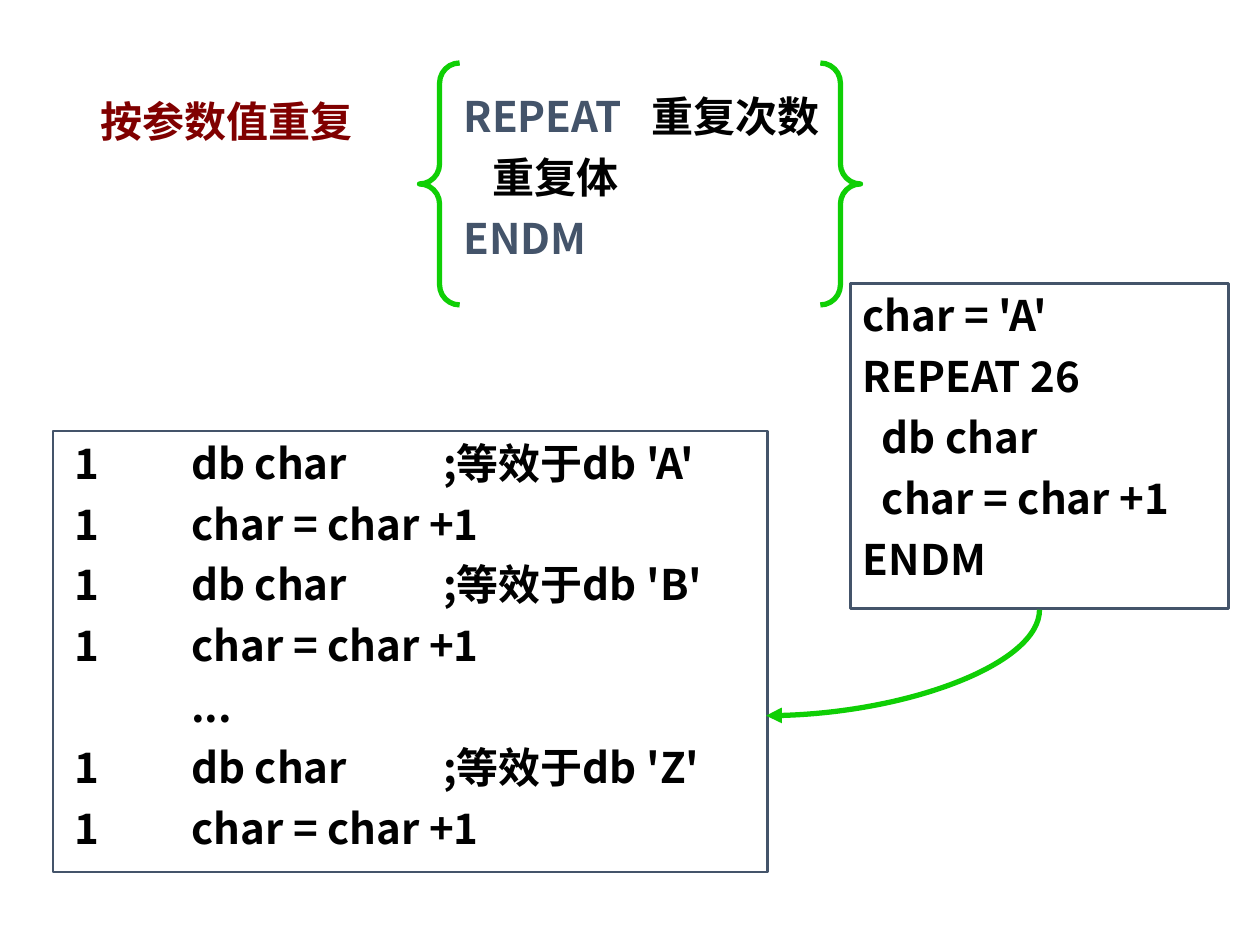
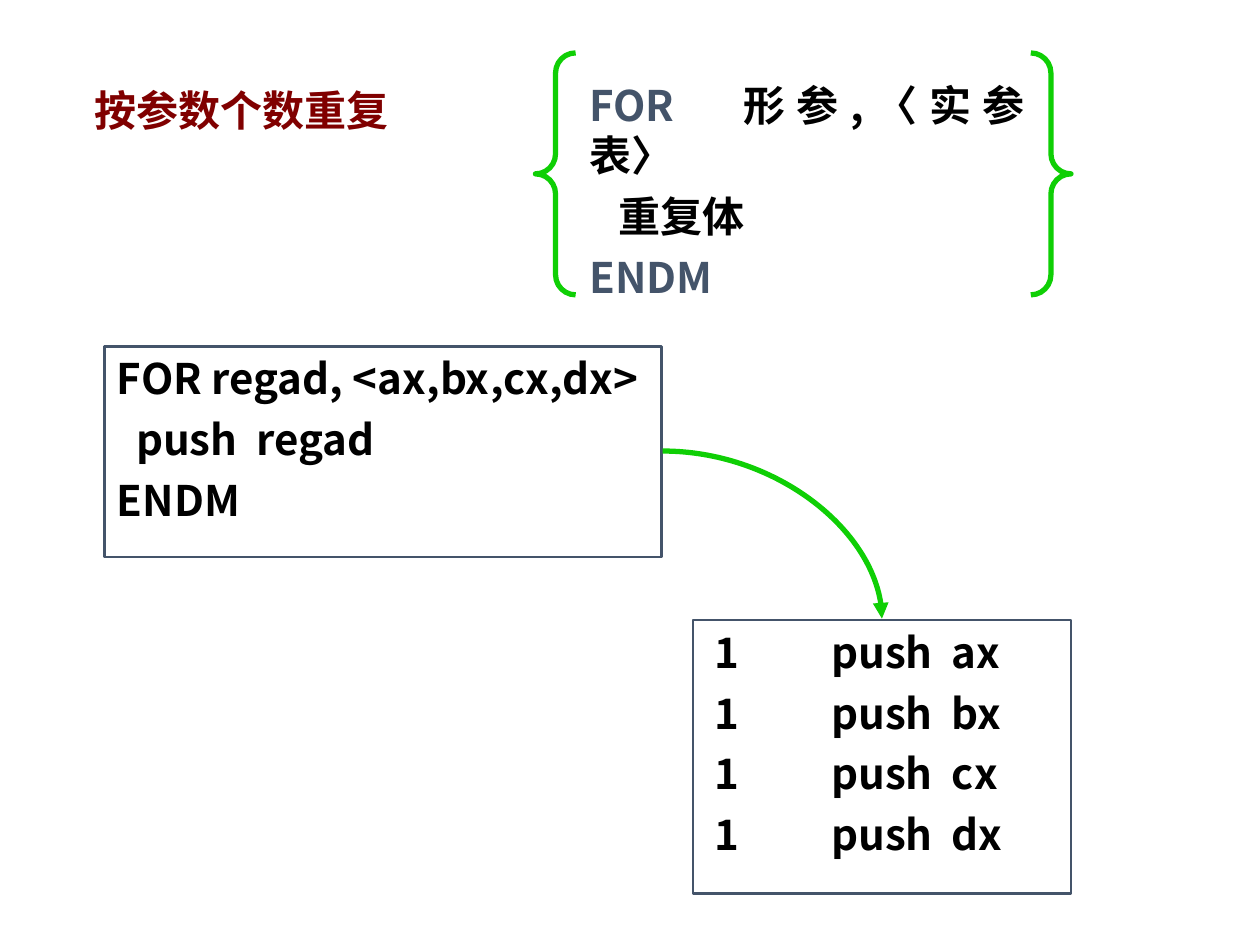
"""Builds two slides on the repeat blocks of assembly macros."""
from lxml.etree import SubElement
from pptx import Presentation
from pptx.dml.color import RGBColor
from pptx.enum.shapes import MSO_CONNECTOR, MSO_SHAPE
from pptx.enum.text import MSO_ANCHOR, PP_ALIGN
from pptx.oxml.ns import qn
from pptx.util import Inches, Pt

COLORS = {
    "heading": "800000",
    "keyword": "44546A",
    "text": "000000",
    "accent": "0FCF05",
    "paper": "FFFFFF",
}
FONT = "Noto Sans CJK SC"
LISTING_TABS = (1, 2, 3)


def color(name):
    return RGBColor.from_string(COLORS[name])


class MacroDeck:
    def __init__(self):
        self.presentation = Presentation()
        self.presentation.slide_width = Inches(10)
        self.presentation.slide_height = Inches(7.5)
        self.slide = None

    def new_slide(self):
        layout = self.presentation.slide_layouts[6]
        self.slide = self.presentation.slides.add_slide(layout)

    def style_paragraph(self, paragraph, ink="text", align=PP_ALIGN.JUSTIFY, tabs=(), indent=0):
        paragraph.alignment = align
        properties = paragraph._p.get_or_add_pPr()
        if indent:
            properties.set("marL", str(Inches(indent)))
            properties.set("indent", "0")
        if tabs:
            tab_list = SubElement(properties, qn("a:tabLst"))
            for position in tabs:
                SubElement(tab_list, qn("a:tab"), pos=str(Inches(position)), algn="l")
        font = paragraph.font
        font.size = Pt(24)
        font.bold = True
        font.color.rgb = color(ink)
        font.name = FONT
        SubElement(properties.find(qn("a:defRPr")), qn("a:ea"), typeface=FONT)

    def text_box(self, area):
        frame = self.slide.shapes.add_textbox(*map(Inches, area)).text_frame
        frame.word_wrap = True
        return frame

    def add_line(self, frame, index, text="", **style):
        paragraph = frame.add_paragraph() if index else frame.paragraphs[0]
        self.style_paragraph(paragraph, **style)
        if index:
            paragraph.space_before = Pt(6)
        if text:
            paragraph.add_run().text = text
        return paragraph

    def heading(self, area, text):
        frame = self.text_box(area)
        frame.vertical_anchor = MSO_ANCHOR.MIDDLE
        self.add_line(frame, 0, text, ink="heading", align=PP_ALIGN.CENTER)

    def outlined_shape(self, kind, area, ink, width, filled=True):
        shape = self.slide.shapes.add_shape(kind, *map(Inches, area))
        shape.shadow.inherit = False
        if filled:
            shape.fill.solid()
            shape.fill.fore_color.rgb = color("paper")
        else:
            shape.fill.background()
        shape.line.color.rgb = color(ink)
        shape.line.width = Pt(width)
        return shape

    def braces(self, area):
        shape = self.outlined_shape(MSO_SHAPE.DOUBLE_BRACE, area, "accent", 3)
        shape.adjustments[0] = 0.083

    def syntax(self, area, keyword, operand, operand_tab):
        frame = self.text_box(area)
        opening = self.add_line(frame, 0, f"{keyword}\t", tabs=(operand_tab,))
        opening.runs[0].font.color.rgb = color("keyword")
        opening.add_run().text = operand
        self.add_line(frame, 1, "重复体", indent=0.23)
        self.add_line(frame, 2, "ENDM", ink="keyword")

    def code_box(self, area, lines, filled=True):
        shape = self.outlined_shape(MSO_SHAPE.RECTANGLE, area, "keyword", 1.5, filled)
        frame = shape.text_frame
        frame.word_wrap = True
        frame.vertical_anchor = MSO_ANCHOR.TOP
        for index, text in enumerate(lines):
            self.add_line(frame, index, text, tabs=LISTING_TABS)

    def curved_arrow(self, start, end, starts_down=False):
        (x1, y1), (x2, y2) = start, end
        if starts_down:
            middle_x, middle_y = (x1 + x2) / 2, (y1 + y2) / 2
            half_width, half_height = abs(y2 - y1) / 2, abs(x2 - x1) / 2
            x1, x2 = middle_x - half_width, middle_x + half_width
            y1, y2 = middle_y - half_height, middle_y + half_height
        connector = self.slide.shapes.add_connector(
            MSO_CONNECTOR.CURVE, *map(Inches, (x1, y1, x2, y2)))
        connector.line.color.rgb = color("accent")
        connector.line.width = Pt(3)
        properties = connector._element.spPr
        properties.find(qn("a:prstGeom")).set("prst", "curvedConnector2")
        if starts_down:
            properties.find(qn("a:xfrm")).set("rot", str(90 * 60000))
        SubElement(properties.find(qn("a:ln")), qn("a:tailEnd"), type="triangle")
        SubElement(properties, qn("a:effectLst"))


def build_repeat_slide(deck):
    deck.new_slide()
    deck.braces((3.33, 0.5, 3.5, 1.92))
    deck.heading((0.42, 0.67, 2.75, 0.58), "按参数值重复")
    deck.syntax((3.58, 0.67, 3.17, 1.58), "REPEAT", "重复次数", 1.49)
    deck.code_box((6.75, 2.25, 3, 2.58),
                  ["char = 'A'", "REPEAT 26", "  db char", "  char = char +1", "ENDM"])
    step = " 1\tchar = char +1"
    first, second, last = [f" 1\tdb char\t;等效于db '{letter}'" for letter in "ABZ"]
    deck.code_box((0.42, 3.42, 5.67, 3.5),
                  [first, step, second, step, "\t...", last, step], filled=False)
    deck.curved_arrow((8.25, 4.84), (6.08, 5.68), starts_down=True)


def build_for_slide(deck):
    deck.new_slide()
    deck.braces((4.25, 0.42, 4.25, 1.92))
    deck.heading((0.33, 0.58, 3.17, 0.58), "按参数个数重复")
    deck.syntax((4.58, 0.58, 3.65, 1.58), "FOR", "形参,〈实参表〉", 1.13)
    deck.code_box((0.83, 2.75, 4.42, 1.67),
                  ["FOR regad, <ax,bx,cx,dx>", "  push  regad", "ENDM"])
    registers = ("ax", "bx", "cx", "dx")
    deck.code_box((5.5, 4.92, 3, 2.17),
                  [f" 1\tpush  {register}" for register in registers], filled=False)
    deck.curved_arrow((5.26, 3.58), (7, 4.91))


def main():
    deck = MacroDeck()
    build_repeat_slide(deck)
    build_for_slide(deck)
    deck.presentation.save("out.pptx")


if __name__ == "__main__":
    main()
